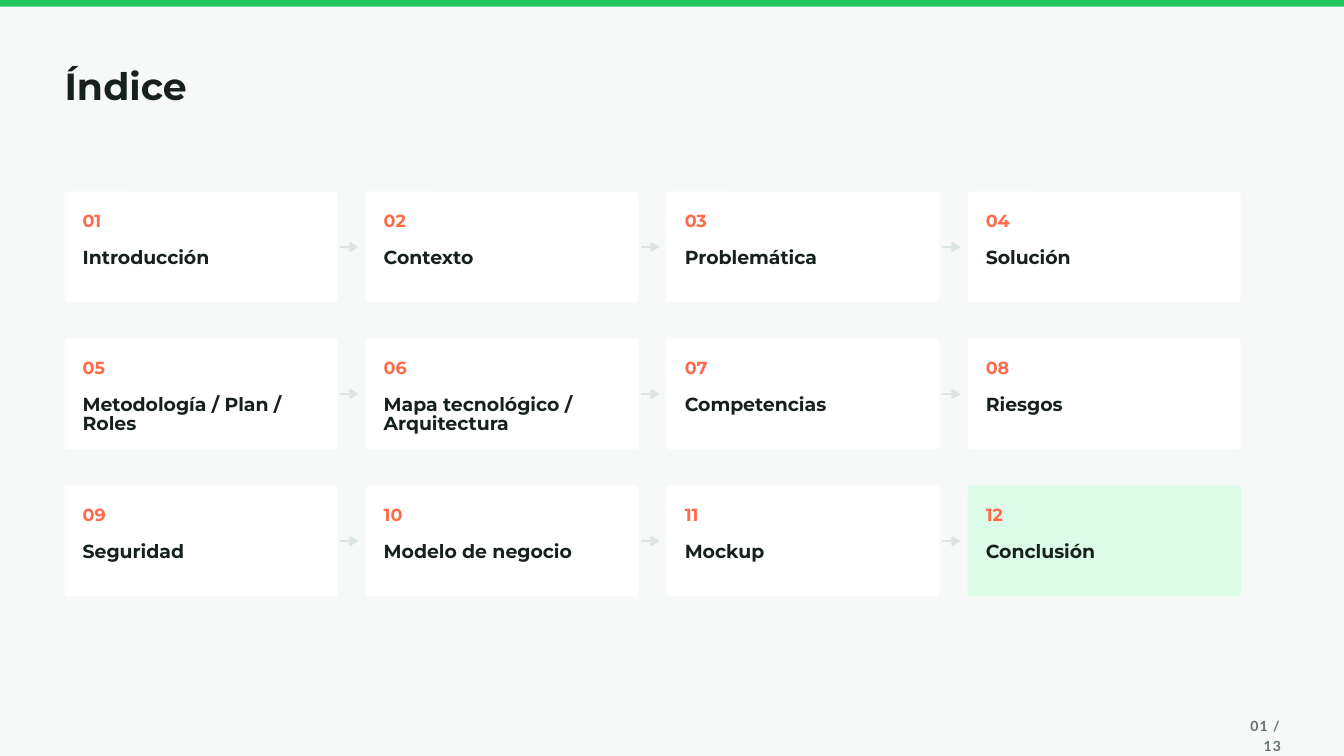
"""Build the index slide: twelve numbered section cards in rows joined by arrows."""
from lxml import etree
from pptx import Presentation
from pptx.dml.color import RGBColor
from pptx.enum.shapes import MSO_CONNECTOR, MSO_SHAPE
from pptx.enum.text import MSO_ANCHOR, MSO_AUTO_SIZE, PP_ALIGN
from pptx.oxml.ns import qn
from pptx.util import Pt

STRAIGHT = MSO_CONNECTOR.STRAIGHT
RECTANGLE = MSO_SHAPE.RECTANGLE
ROUNDED = MSO_SHAPE.ROUNDED_RECTANGLE
TOP = MSO_ANCHOR.TOP
GROW = MSO_AUTO_SIZE.SHAPE_TO_FIT_TEXT
LEFT, RIGHT = PP_ALIGN.LEFT, PP_ALIGN.RIGHT

BACKGROUND = RGBColor(0xF7, 0xF9, 0xF8)
GREEN = RGBColor(0x22, 0xC5, 0x5E)
PALE_GREEN = RGBColor(0xDC, 0xFC, 0xE7)
WHITE = RGBColor(0xFF, 0xFF, 0xFF)
INK = RGBColor(0x17, 0x21, 0x1C)
CORAL = RGBColor(0xFF, 0x6B, 0x4A)
GREY = RGBColor(0x66, 0x73, 0x6C)
ARROW_GREY = RGBColor(0xDC, 0xE5, 0xDF)

SECTIONS = [
    "Introducción", "Contexto", "Problemática", "Solución",
    "Metodología / Plan / Roles", "Mapa tecnológico / Arquitectura",
    "Competencias", "Riesgos",
    "Seguridad", "Modelo de negocio", "Mockup", "Conclusión",
]
COLUMNS = 4
GRID_LEFT, GRID_TOP = 69.2, 205.2
CARD_WIDTH, CARD_HEIGHT = 292.3, 118.8
COLUMN_STEP, ROW_STEP = 322.55, 157.55
PADDING = 19.35
ARROW_GAP, ARROW_LENGTH = 2.9, 19.5


def format_text(shape, text, size, line_spacing, color=INK, font="Montserrat",
                align=LEFT, tracking=None):
    """Put one bold paragraph in a shape without margins."""
    frame = shape.text_frame
    frame.margin_left = frame.margin_top = frame.margin_right = frame.margin_bottom = 0
    frame.word_wrap = True
    frame.auto_size = GROW
    frame.vertical_anchor = TOP
    paragraph = frame.paragraphs[0]
    paragraph.alignment = align
    paragraph.line_spacing = Pt(line_spacing)
    run = paragraph.add_run()
    run.text = text
    run.font.name = font
    run.font.size = Pt(size)
    run.font.bold = True
    run.font.color.rgb = color
    if tracking:
        run.font._element.set("spc", str(round(tracking * 100)))


def add_text(slide, left, top, width, height, text, **text_format):
    """Add a text box with formatted text."""
    box = slide.shapes.add_textbox(Pt(left), Pt(top), Pt(width), Pt(height))
    format_text(box, text, **text_format)


def add_panel(slide, kind, left, top, width, height, color):
    """Add a flat filled shape without outline."""
    shape = slide.shapes.add_shape(kind, Pt(left), Pt(top), Pt(width), Pt(height))
    shape.shadow.inherit = False
    shape.fill.solid()
    shape.fill.fore_color.rgb = color
    shape.line.fill.background()
    return shape


def add_arrow(slide, left, middle):
    """Add a short arrow pointing right."""
    arrow = slide.shapes.add_connector(
        STRAIGHT, Pt(left), Pt(middle), Pt(left + ARROW_LENGTH), Pt(middle))
    arrow.line.color.rgb = ARROW_GREY
    arrow.line.width = Pt(3)
    etree.SubElement(arrow.line._get_or_add_ln(), qn("a:tailEnd"), type="arrow")
    etree.SubElement(arrow._element.spPr, qn("a:effectLst"))


def add_card(slide, left, top, number, name, color):
    """Add a section card with its number and name."""
    card = add_panel(slide, ROUNDED, left, top, CARD_WIDTH, CARD_HEIGHT, color)
    card.adjustments[0] = 0.03
    text_left = left + PADDING
    add_text(slide, text_left, top + 22.2, 54, 20.9, f"{number:02d}",
             size=18.8, line_spacing=19.7, color=CORAL)
    add_text(slide, text_left, top + 60.5, 250.6, 22.3, name,
             size=20.2, line_spacing=21.3)


def add_title(slide, text):
    """Move and format the title placeholder."""
    title = slide.shapes.title
    title.left, title.top, title.width, title.height = Pt(69.2), Pt(73.4), Pt(1124.6), Pt(42.5)
    format_text(title, text, size=40.5, line_spacing=42.5)


def main():
    """Build and save the presentation."""
    presentation = Presentation()
    presentation.slide_width = Pt(1440)
    presentation.slide_height = Pt(810)
    slide = presentation.slides.add_slide(presentation.slide_layouts[5])
    slide.background.fill.solid()
    slide.background.fill.fore_color.rgb = BACKGROUND

    add_title(slide, "Índice")
    add_panel(slide, RECTANGLE, 0, 0, 1440, 7.2, GREEN)
    for index, name in enumerate(SECTIONS):
        row, column = divmod(index, COLUMNS)
        left = GRID_LEFT + column * COLUMN_STEP
        top = GRID_TOP + row * ROW_STEP
        color = PALE_GREEN if name == SECTIONS[-1] else WHITE
        add_card(slide, left, top, index + 1, name, color)
        if column < COLUMNS - 1:
            add_arrow(slide, left + CARD_WIDTH + ARROW_GAP, top + CARD_HEIGHT / 2)
    add_text(slide, 1319.8, 766.1, 52.6, 21, "01 / 13", size=15, line_spacing=21,
             color=GREY, font="Lato", align=RIGHT, tracking=1.2)
    presentation.save("out.pptx")


if __name__ == "__main__":
    main()
